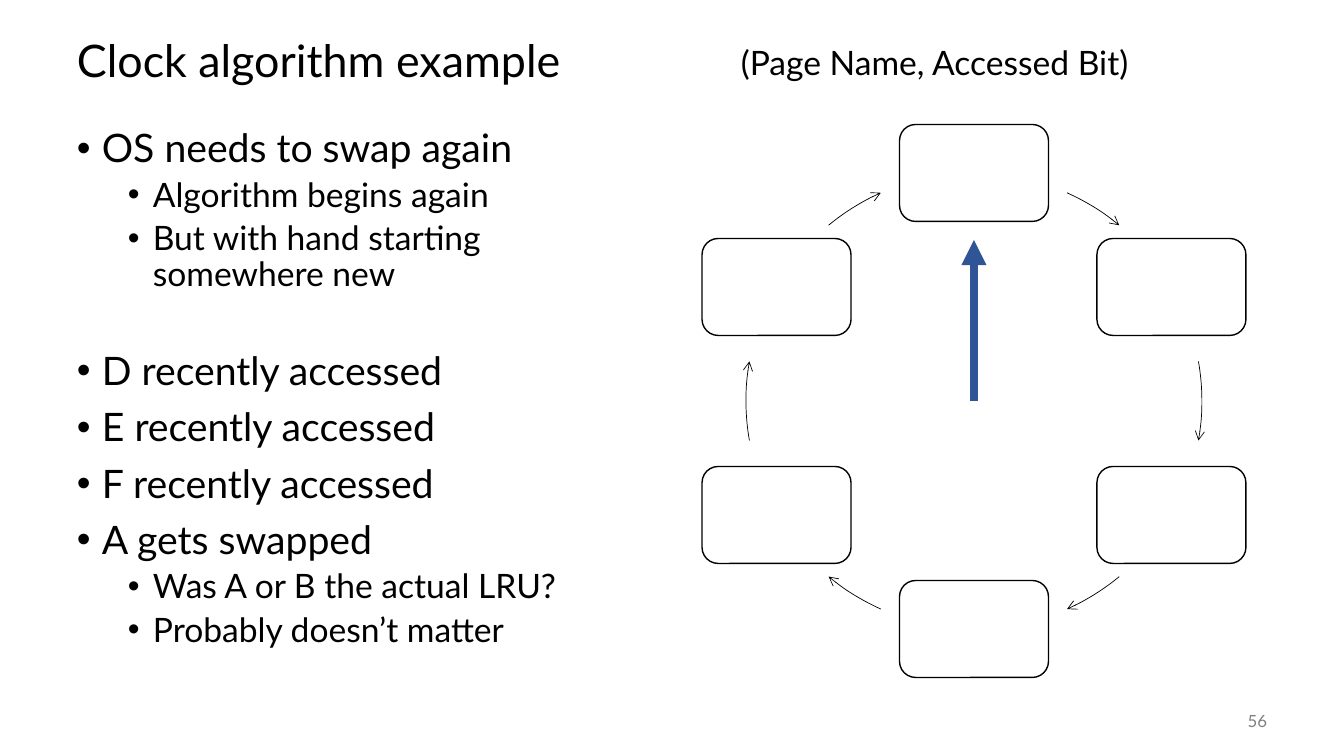
from math import cos, radians, sin

from lxml import etree
from pptx import Presentation
from pptx.dml.color import RGBColor
from pptx.enum.shapes import MSO_CONNECTOR, MSO_SHAPE
from pptx.enum.text import MSO_ANCHOR, PP_ALIGN
from pptx.oxml.ns import qn
from pptx.util import Pt

# Content
TITLE = "Clock algorithm example"
LABEL = "(Page Name, Accessed Bit)"
NUMBER = "56"
POINTS = [  # level, text, space before in points
    (0, "OS needs to swap again", 0),
    (1, "Algorithm begins again", 5),
    (1, "But with hand starting somewhere new", 5),
    (0, "D recently accessed", 41),
    (0, "E recently accessed", 10),
    (0, "F recently accessed", 10),
    (0, "A gets swapped", 10),
    (1, "Was A or B the actual LRU?", 5),
    (1, "Probably doesn’t matter", 5),
]
SIZES = (28, 24)
INDENTS = (25, 76)
HANG = 25

# Ring of pages, in px and degrees clockwise from the right
MID_X, MID_Y, RADIUS = 974, 401, 228
PAGE_W, PAGE_H = 149, 97
PAGES = 6
ARCS = [(294.1, 309.6), (350, 10), (50.4, 65.9),
        (114.1, 129.6), (170, 190), (230.4, 245.9)]
HAND_TOP = 240

FONT = "Lato"
BLACK = RGBColor(0, 0, 0)
WHITE = RGBColor(255, 255, 255)
GRAY = RGBColor(0x80, 0x80, 0x80)
BLUE = RGBColor(0x2F, 0x55, 0x97)
ROUND, ARC = MSO_SHAPE.ROUNDED_RECTANGLE, MSO_SHAPE.ARC
LINE = MSO_CONNECTOR.STRAIGHT
MIDDLE, TOP = MSO_ANCHOR.MIDDLE, MSO_ANCHOR.TOP
RIGHT = PP_ALIGN.RIGHT
SCALE = 914400 / 100.8


def px(*lengths):
    return [round(n * SCALE) for n in lengths]


def style(para, size, color=BLACK):
    for run in para.runs:
        run.font.name = FONT
        run.font.size = Pt(size)
        run.font.color.rgb = color


def add_box(slide, place, anchor=TOP):
    frame = slide.shapes.add_textbox(*px(*place)).text_frame
    frame.word_wrap = True
    frame.vertical_anchor = anchor
    return frame


def add_text(slide, place, text, size, color=BLACK, anchor=TOP):
    frame = add_box(slide, place, anchor)
    frame.text = text
    para = frame.paragraphs[0]
    style(para, size, color)
    return para


def add_bullet(para, level):
    props = para._p.get_or_add_pPr()
    left, hang = px(INDENTS[level], HANG)
    props.set("marL", str(left))
    props.set("indent", str(-hang))
    etree.SubElement(props, qn("a:buFont")).set("typeface", "Arial")
    etree.SubElement(props, qn("a:buChar")).set("char", "•")


def set_line(shape, color, width, head=None):
    shape.line.color.rgb = color
    shape.line.width = Pt(width)
    if head:
        line = shape.line._get_or_add_ln()
        etree.SubElement(line, qn("a:tailEnd")).set("type", head)


def add_points(slide):
    frame = add_box(slide, (67, 124, 580, 554))
    for i, (level, text, space) in enumerate(POINTS):
        para = frame.add_paragraph() if i else frame.paragraphs[0]
        para.text = text
        para.level = level
        add_bullet(para, level)
        para.line_spacing = 0.9
        para.space_before = Pt(space)
        style(para, SIZES[level])


def add_ring(slide):
    for i, (start, end) in enumerate(ARCS):
        # Page box
        turn = radians(i * 360 / PAGES - 90)
        left = MID_X + RADIUS * cos(turn) - PAGE_W / 2
        top = MID_Y + RADIUS * sin(turn) - PAGE_H / 2
        page = slide.shapes.add_shape(ROUND, *px(left, top, PAGE_W, PAGE_H))
        page.shadow.inherit = False
        page.fill.solid()
        page.fill.fore_color.rgb = WHITE
        set_line(page, BLACK, 1)

        # Curved arrow to the next page
        arc = slide.shapes.add_shape(ARC, *px(
            MID_X - RADIUS, MID_Y - RADIUS, 2 * RADIUS, 2 * RADIUS))
        arc.shadow.inherit = False
        arc.fill.background()
        # Angles are 60000ths of a degree, adjustments 100000ths
        arc.adjustments[0] = start * 0.6
        arc.adjustments[1] = end * 0.6
        set_line(arc, BLACK, 0.5, "arrow")


def add_hand(slide):
    hand = slide.shapes.add_connector(
        LINE, *px(MID_X, MID_Y, MID_X, HAND_TOP))
    set_line(hand, BLUE, 6, "triangle")
    etree.SubElement(hand._element.spPr, qn("a:effectLst"))


def main():
    deck = Presentation()
    deck.slide_width, deck.slide_height = px(1344, 756)
    slide = deck.slides.add_slide(deck.slide_layouts[6])

    title = add_text(slide, (67, 25, 1210, 76), TITLE, 32, anchor=MIDDLE)
    title.line_spacing = 0.9
    add_ring(slide)
    number = add_text(slide, (1176, 701, 101, 40), NUMBER, 12, GRAY, MIDDLE)
    number.alignment = RIGHT
    add_points(slide)
    add_text(slide, (731, 37, 446, 50), LABEL, 24)
    add_hand(slide)

    deck.save("out.pptx")


if __name__ == "__main__":
    main()
